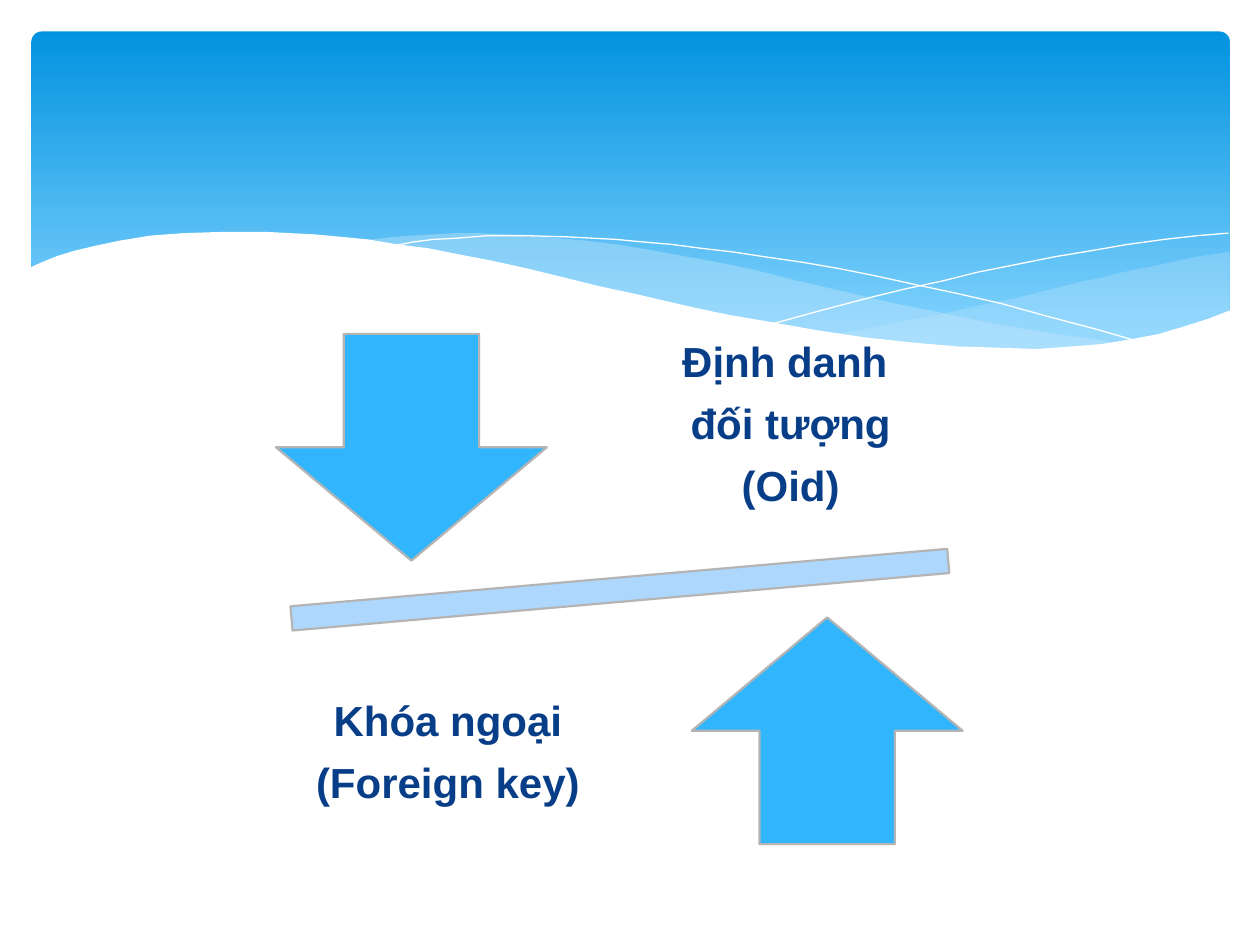
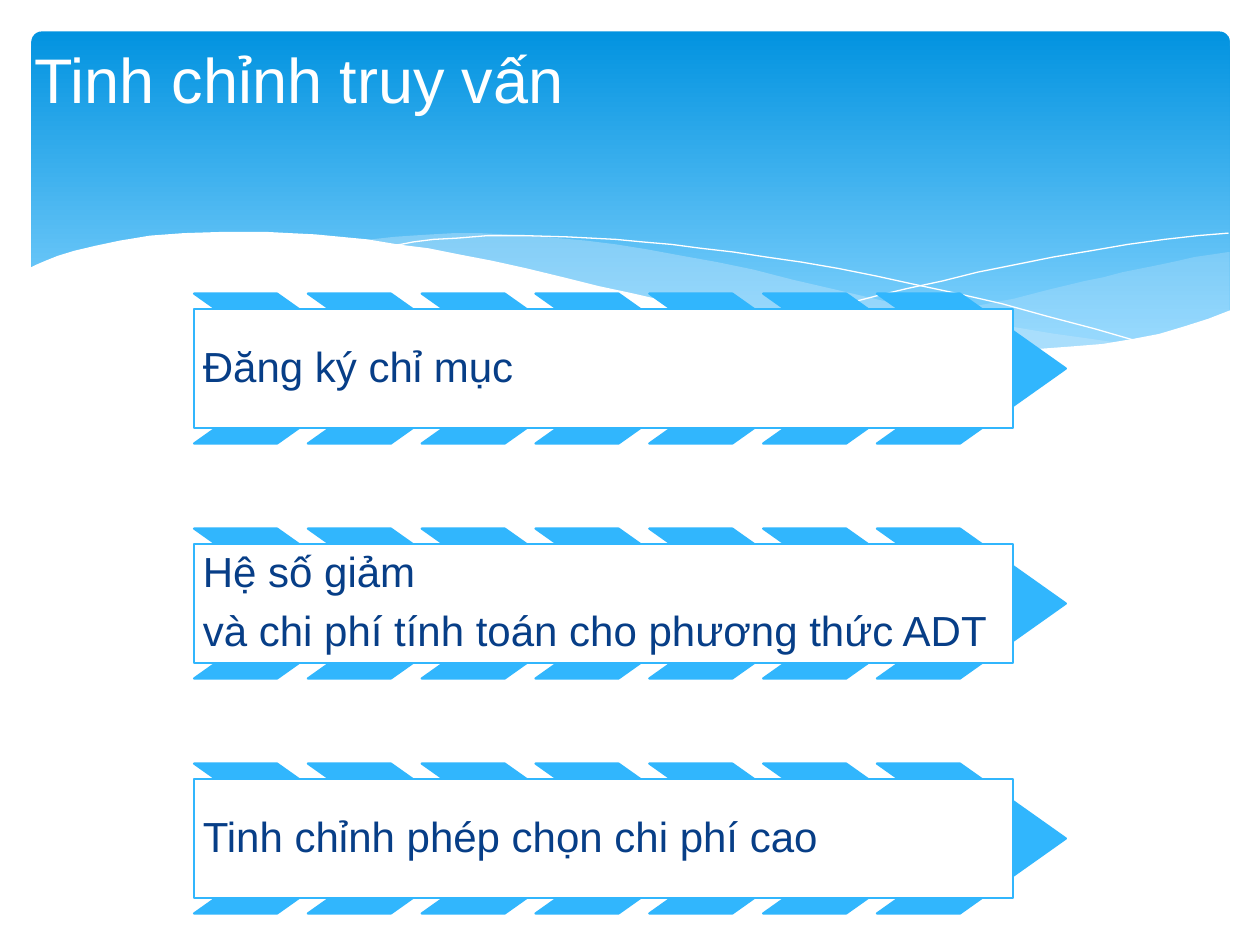
from lxml.etree import SubElement
from pptx import Presentation
from pptx.dml.color import RGBColor
from pptx.enum.shapes import MSO_SHAPE as Preset
from pptx.enum.text import MSO_ANCHOR as Anchor, PP_ALIGN as Align
from pptx.oxml.ns import qn
from pptx.util import Inches, Pt

COLORS = {
    "band_top": "0293E0", "band_bottom": "83D3FE", "wave": "C6E7FC",
    "white": "FFFFFF", "accent": "31B6FD", "bar": "AED7FE",
    "outline": "B4B4B4", "navy": "073E87",
}
FONT = "Arial"
TITLE_FORMAT = {"size": Pt(36), "name": FONT, "bold": False}
BODY_FORMAT = {"size": Pt(24), "name": FONT, "bold": False}
LABEL_FORMAT = {**BODY_FORMAT, "bold": True}
TIGHT = {"line_spacing": 0.9, "space_after": Pt(9.5)}
FIXED = {"line_spacing": Pt(25), "space_after": Pt(8.4)}

RIGHT_WAVE = [
    (975, 200), (962, 202), (948, 204), (935, 207), (921, 210), (906, 213),
    (891, 216), (876, 220), (861, 223), (832, 230), (805, 237), (779, 242),
    (753, 248), (729, 253), (706, 257), (683, 262), (661, 265), (691, 269),
    (719, 272), (745, 275), (769, 277), (803, 278), (835, 277), (863, 275),
    (889, 272), (913, 267), (935, 262), (949, 257), (963, 252), (976, 247),
    (976, 200),
]
MIDDLE_WAVE = [
    (893, 273), (866, 269), (837, 265), (807, 260), (775, 254), (741, 247),
    (706, 240), (668, 231), (629, 222), (598, 214), (569, 208), (541, 203),
    (514, 198), (489, 194), (465, 191), (442, 189), (420, 187), (399, 186),
    (380, 185), (361, 185), (344, 186), (328, 187), (313, 188), (286, 191),
    (323, 196), (362, 203), (404, 211), (449, 222), (491, 232), (530, 240),
    (566, 248), (601, 255), (634, 261), (665, 266), (695, 270), (722, 274),
    (748, 276), (773, 277), (807, 278), (838, 278), (867, 276),
]
FALLING_CURVE = [
    (309, 195), (318, 194), (328, 192), (344, 190), (363, 189), (387, 187),
    (416, 187), (450, 188), (489, 190), (510, 192), (533, 194), (556, 197),
    (582, 200), (608, 204), (636, 208), (665, 213), (695, 219), (727, 226),
    (760, 233), (795, 241), (831, 251), (869, 261), (907, 272),
]
RISING_CURVE = [
    (613, 257), (653, 246), (695, 235), (720, 229), (748, 223), (776, 216),
    (806, 210), (836, 204), (866, 199), (895, 194), (924, 190), (951, 187),
    (975, 185),
]
FRONT_WAVE = [
    (977, 246), (959, 253), (940, 259), (920, 265), (899, 269), (875, 273),
    (850, 275), (823, 277), (793, 276), (761, 275), (726, 272), (688, 268),
    (648, 262), (603, 254), (579, 250), (555, 245), (529, 239), (503, 233),
    (475, 227), (447, 220), (418, 213), (391, 207), (365, 202), (340, 197),
    (316, 194), (292, 190), (271, 188), (250, 186), (230, 185), (211, 184),
    (177, 184), (146, 185), (119, 187), (95, 191), (76, 195), (59, 199),
    (46, 203), (36, 207), (29, 210), (23, 213), (23, 329), (977, 329),
]


def color(name):
    return RGBColor.from_string(COLORS[name])


def apply_format(target, values):
    for name, value in values.items():
        setattr(target, name, value)


def paint(shape, fill=None, line=None, width=1.25):
    shape.shadow.inherit = False
    if fill:
        shape.fill.solid()
        shape.fill.fore_color.rgb = color(fill)
    else:
        shape.fill.background()
    if line:
        shape.line.color.rgb = color(line)
        shape.line.width = Pt(width)
    else:
        shape.line.fill.background()


def add_preset(slide, preset, area, fill, line):
    shape = slide.shapes.add_shape(preset, *map(Inches, area))
    paint(shape, fill, line)
    return shape


def add_curve(slide, points, fill=None, opacity=None, line=None):
    builder = slide.shapes.build_freeform(*points[0], scale=Inches(0.01))
    builder.add_line_segments(points[1:], close=fill is not None)
    shape = builder.convert_to_shape()
    paint(shape, fill, line, width=0)
    if opacity:
        tint = next(shape.element.iter(qn("a:srgbClr")))
        SubElement(tint, qn("a:alpha"), val=str(opacity * 1000))
    return shape


def write_lines(shape, lines, font_format, ink, spacing, align, inset):
    frame = shape.text_frame
    sides = ("margin_left", "margin_top", "margin_right", "margin_bottom")
    apply_format(frame, dict.fromkeys(sides, Inches(inset)))
    apply_format(frame, {"word_wrap": True, "vertical_anchor": Anchor.MIDDLE})
    for index, line in enumerate(lines):
        para = frame.add_paragraph() if index else frame.paragraphs[0]
        apply_format(para, {"alignment": align, **spacing})
        span = para.add_run()
        span.text = line
        apply_format(span.font, font_format)
        span.font.color.rgb = color(ink)


def add_label(slide, area, lines):
    box = slide.shapes.add_textbox(*map(Inches, area))
    write_lines(box, lines, LABEL_FORMAT, "navy", TIGHT, Align.CENTER, 0.19)


def add_master_band(deck, slide):
    """Draw the wavy header on a slide, then move it to the slide master."""
    band = add_preset(slide, Preset.ROUNDED_RECTANGLE, (0.25, 0.25, 9.51, 2.7), "band_top", None)
    band.adjustments[0] = 0.03
    band.fill.gradient()
    band.fill.gradient_angle = 270
    stops = zip(band.fill.gradient_stops, ("band_top", "band_bottom"), (0, 0.9))
    for stop, name, position in stops:
        stop.color.rgb = color(name)
        stop.position = position
    parts = [
        band,
        add_curve(slide, RIGHT_WAVE, "wave", 29),
        add_curve(slide, MIDDLE_WAVE, "wave", 40),
        add_curve(slide, FALLING_CURVE, line="white"),
        add_curve(slide, RISING_CURVE, line="white"),
        add_curve(slide, FRONT_WAVE, "white"),
    ]
    tree = deck.slide_master.element.cSld.spTree
    for part in parts:
        tree.append(part.element)


def add_chevron_row(slide, top, lines, spacing):
    left, count = 1.54, 7
    pitch = (6.96 - left) / (count - 1)
    for column in range(count):
        area = (left + column * pitch, top, 1.5, 1.19)
        chevron = add_preset(slide, Preset.CHEVRON, area, "accent", "accent")
        chevron.adjustments[0] = 0.706
    box = add_preset(slide, Preset.RECTANGLE, (left, top + 0.12, 6.5, 0.95), "white", "accent")
    write_lines(box, lines, BODY_FORMAT, "navy", spacing, Align.LEFT, 0.07)


def add_title(slide, text):
    title = slide.shapes.title
    places = zip(("left", "top", "width", "height"), (0.17, 0, 5.17, 1.25))
    apply_format(title, {name: Inches(value) for name, value in places})
    write_lines(title, [text], TITLE_FORMAT, "white", {}, Align.LEFT, 0.1)


def fill_balance_slide(slide):
    bar = add_preset(slide, Preset.MATH_MINUS, (1.36, 4.27, 7.12, 0.82), "bar", "outline")
    bar.rotation = 355
    add_preset(slide, Preset.DOWN_ARROW, (2.19, 2.65, 2.15, 1.8), "accent", "outline")
    add_label(slide, (4.77, 2.6, 3.01, 1.56), ["Định danh ", "đối tượng", "(Oid)"])
    add_preset(slide, Preset.UP_ARROW, (5.49, 4.9, 2.15, 1.8), "accent", "outline")
    add_label(slide, (1.57, 5.5, 3.97, 0.96), ["Khóa ngoại", "(Foreign key)"])


def fill_tuning_slide(slide):
    add_title(slide, "Tinh chỉnh truy vấn")
    rows = [
        (["Đăng ký chỉ mục"], TIGHT),
        (["Hệ số giảm", "và chi phí tính toán cho phương thức ADT"], FIXED),
        (["Tinh chỉnh phép chọn chi phí cao"], TIGHT),
    ]
    first_top, last_top = 2.33, 6.06
    pitch = (last_top - first_top) / (len(rows) - 1)
    for index, (lines, spacing) in enumerate(rows):
        add_chevron_row(slide, first_top + index * pitch, lines, spacing)


def main():
    deck = Presentation()
    apply_format(deck, {"slide_width": Inches(10), "slide_height": Inches(7.5)})
    title_only, blank = deck.slide_layouts[5], deck.slide_layouts[6]
    balance = deck.slides.add_slide(blank)
    add_master_band(deck, balance)
    fill_balance_slide(balance)
    fill_tuning_slide(deck.slides.add_slide(title_only))
    deck.save("out.pptx")


if __name__ == "__main__":
    main()
